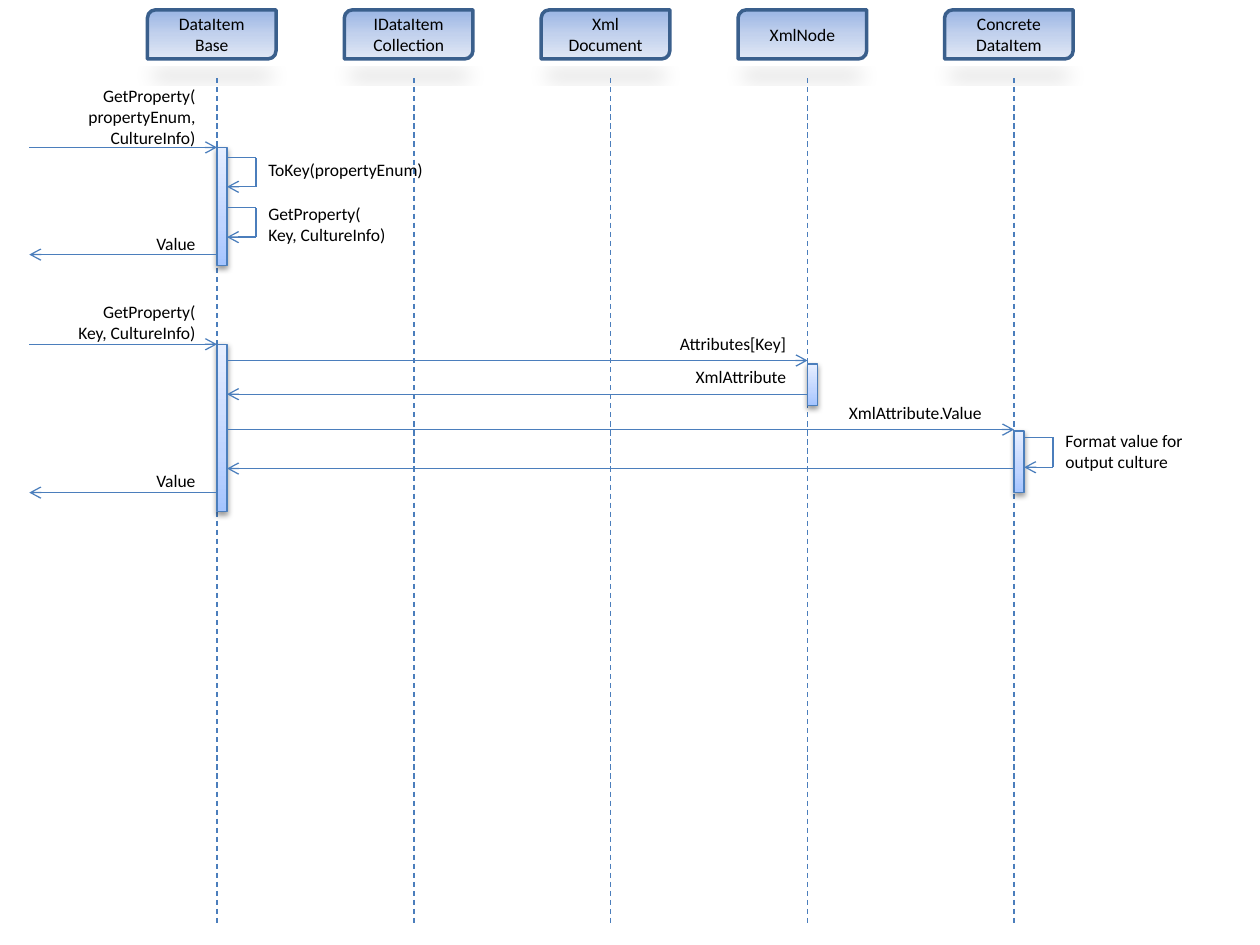
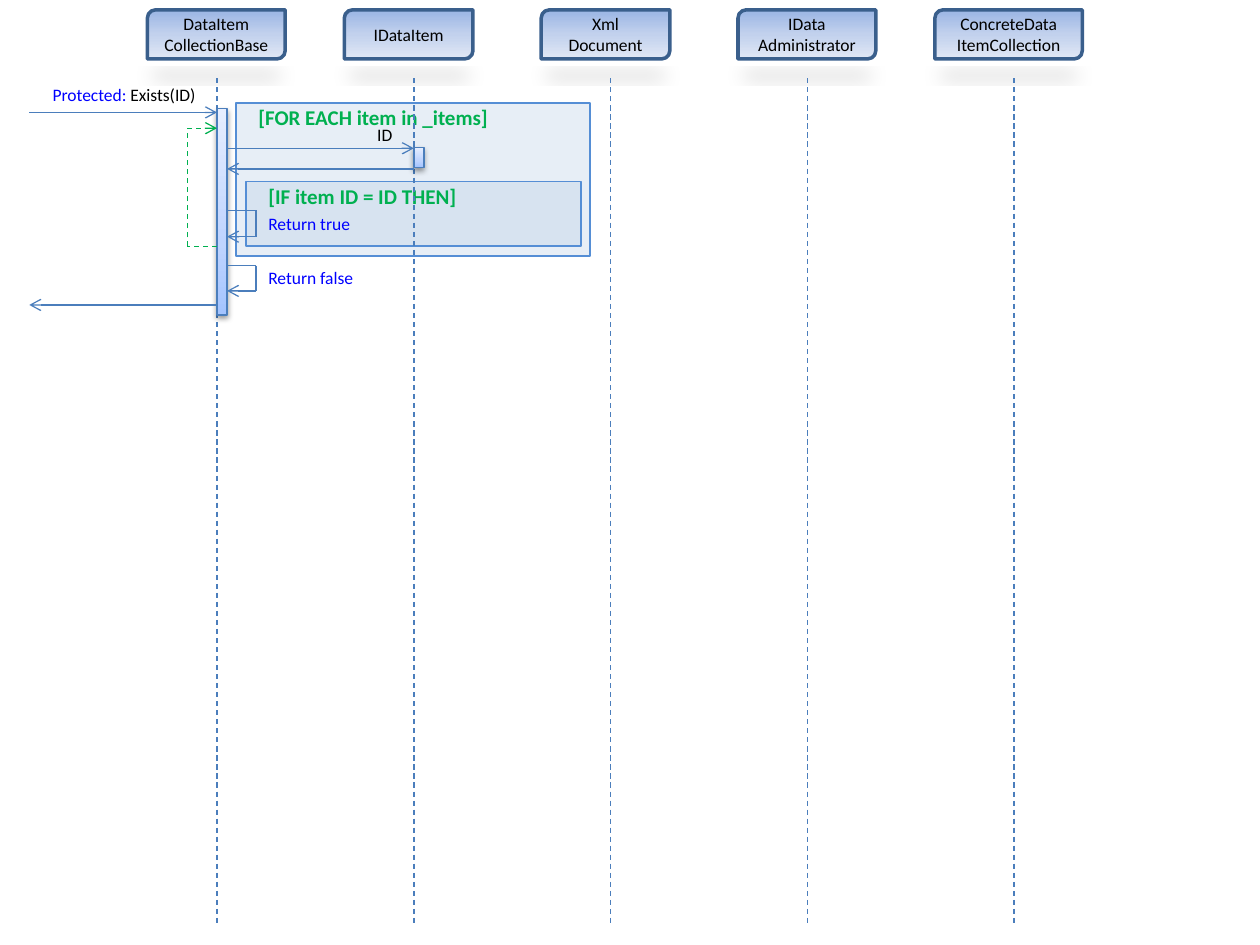
from dataclasses import dataclass
from itertools import pairwise

from lxml.etree import SubElement
from pptx import Presentation
from pptx.dml.color import RGBColor
from pptx.enum.dml import MSO_LINE
from pptx.enum.shapes import MSO_CONNECTOR, MSO_SHAPE
from pptx.enum.text import MSO_ANCHOR, PP_ALIGN
from pptx.oxml.ns import qn
from pptx.util import Pt

# Shared look
FONT = "Calibri"
BLACK, BLUE, GREEN = "000000", "0000FF", "00B050"
LINE, HEADER_LINE = "4B7EBC", "3A5F8C"
FRAME_FILL, FRAME_LINE = "B9CDE5", "558ED5"
HEADER_STOPS = ((0, "9AB5E4"), (50, "C2D1ED"), (100, "E1E8F5"))
BAR_STOPS = ((0, "A4C4FF"), (35, "BFD4FF"), (100, "E6EEFF"))

# Shared geometry, in points
COLS = [124 + 112.5 * i for i in range(4)] + [579.5]
HEADER_TOP, HEADER_H = 5.6, 28.1
LIFE_TOP, LIFE_BOTTOM = 44.75, 528.5
BAR_W = 5.75
OUTSIDE = 16.75
BASE = COLS[0]
BASE_EDGE = BASE + BAR_W
LABEL_W = 113


@dataclass
class Lifeline:
    name: str
    width: float = 73.5
    indent: float = 39.75
    bars: tuple = ()  # (top, height) of each activation


@dataclass
class Message:
    start: float
    end: float
    y: float
    text: str = ""
    label_top: float = 0
    gap: float = 5.25
    prefix: str = ""


@dataclass
class SelfCall:
    x: float
    top: float
    bottom: float
    text: str
    label_top: float
    color: str = BLACK


@dataclass
class Frame:
    left: float
    top: float
    width: float
    height: float
    text: str


def rgb(hex_color: str) -> RGBColor:
    return RGBColor.from_string(hex_color)


def write(tf, text: str, align=PP_ALIGN.LEFT, color: str = BLACK,
          size: float = 10, bold: bool = False, prefix: str = "") -> None:
    tf.word_wrap = True
    for i, line in enumerate(text.split("\n")):
        p = tf.paragraphs[0] if i == 0 else tf.add_paragraph()
        p.alignment = align
        p.font.name, p.font.size, p.font.bold = FONT, Pt(size), bold
        p.font.color.rgb = rgb(color)
        if prefix and i == 0:
            r = p.add_run()
            r.text = prefix
            r.font.color.rgb = rgb(BLUE)
        p.add_run().text = line


def label(s, left: float, top: float, width: float, text: str, **style) -> None:
    height = 7.2 + 12.2 * (text.count("\n") + 1)
    tb = s.shapes.add_textbox(Pt(left), Pt(top), Pt(width), Pt(height))
    write(tb.text_frame, text, **style)


def box(s, kind, left: float, top: float, width: float, height: float,
        line: str, weight: float):
    sp = s.shapes.add_shape(kind, Pt(left), Pt(top), Pt(width), Pt(height))
    sp.line.color.rgb = rgb(line)
    sp.line.width = Pt(weight)
    sp.shadow.inherit = False
    return sp


def gradient(sp, stops: tuple, angle: float) -> None:
    sp.fill.gradient()
    sp.fill.gradient_angle = angle
    gs_lst = sp.element.spPr.find(".//" + qn("a:gsLst"))
    for gs in list(gs_lst):
        gs_lst.remove(gs)
    for pos, color in stops:
        gs = SubElement(gs_lst, qn("a:gs"), pos=str(pos * 1000))
        SubElement(gs, qn("a:srgbClr"), val=color)


def drop_shadow(sp, alpha: int, blur: float, dist: float, **scale: str) -> None:
    effects = sp.element.spPr.find(qn("a:effectLst"))
    shadow = SubElement(effects, qn("a:outerShdw"), blurRad=str(Pt(blur)),
                        dist=str(Pt(dist)), dir="5400000", **scale, rotWithShape="0")
    clr = SubElement(shadow, qn("a:srgbClr"), val=BLACK)
    SubElement(clr, qn("a:alpha"), val=str(alpha * 1000))


def route(s, points: list, color: str = LINE, dashed: bool = False,
          arrow: bool = True) -> None:
    """Join the points with straight lines; the last one may carry an arrowhead."""
    for (x1, y1), (x2, y2) in pairwise(points):
        c = s.shapes.add_connector(MSO_CONNECTOR.STRAIGHT, Pt(x1), Pt(y1), Pt(x2), Pt(y2))
        c.line.color.rgb = rgb(color)
        c.line.width = Pt(0.75)
        if dashed:
            c.line.dash_style = MSO_LINE.DASH
        SubElement(c.element.spPr, qn("a:effectLst"))
    if arrow:
        SubElement(c.element.spPr.find(qn("a:ln")), qn("a:tailEnd"), type="arrow")


def draw_lifeline(s, x: float, life: Lifeline) -> None:
    sp = box(s, MSO_SHAPE.ROUND_2_DIAG_RECTANGLE, x - life.indent, HEADER_TOP,
             life.width, HEADER_H, HEADER_LINE, 2)
    gradient(sp, HEADER_STOPS, 270)
    drop_shadow(sp, 15, 12, 7, sx="90000", sy="-19000")
    tf = sp.text_frame
    tf.margin_left = tf.margin_right = tf.margin_top = tf.margin_bottom = 0
    tf.vertical_anchor = MSO_ANCHOR.MIDDLE
    write(tf, life.name, align=PP_ALIGN.CENTER)
    route(s, [(x, LIFE_TOP), (x, LIFE_BOTTOM)], dashed=True, arrow=False)


def draw_bar(s, x: float, top: float, height: float) -> None:
    sp = box(s, MSO_SHAPE.RECTANGLE, x, top, BAR_W, height, LINE, 0.75)
    gradient(sp, BAR_STOPS, 90)
    drop_shadow(sp, 38, 3.1, 1.6)


def draw_message(s, m: Message) -> None:
    route(s, [(m.start, m.y), (m.end, m.y)])
    if m.text:
        left = max(m.start, m.end) - m.gap - LABEL_W
        label(s, left, m.label_top, LABEL_W, m.text, align=PP_ALIGN.RIGHT, prefix=m.prefix)


def draw_self_call(s, c: SelfCall) -> None:
    edge, turn = c.x + BAR_W, c.x + 22.25
    route(s, [(edge, c.top), (turn, c.top), (turn, c.bottom), (edge, c.bottom)])
    label(s, turn, c.label_top, 106.5, c.text, color=c.color)


def draw_frame(s, f: Frame) -> None:
    sp = box(s, MSO_SHAPE.RECTANGLE, f.left, f.top, f.width, f.height, FRAME_LINE, 1)
    sp.fill.solid()
    sp.fill.fore_color.rgb = rgb(FRAME_FILL)
    clr = sp.element.spPr.find(qn("a:solidFill")).find(qn("a:srgbClr"))
    SubElement(clr, qn("a:alpha"), val="33000")
    label(s, f.left + 5.75, f.top - 2.5, 191.5, f.text, color=GREEN, size=12, bold=True)


def draw_sequence(prs, lifelines: list, messages: list, self_calls: list,
                  frames: tuple = ()):
    s = prs.slides.add_slide(prs.slide_layouts[6])
    for f in frames:
        draw_frame(s, f)
    for x, life in zip(COLS, lifelines):
        draw_lifeline(s, x, life)
    for x, life in zip(COLS, lifelines):
        for top, height in life.bars:
            draw_bar(s, x, top, height)
    for m in messages:
        draw_message(s, m)
    for c in self_calls:
        draw_self_call(s, c)
    return s


def main() -> None:
    prs = Presentation()
    prs.slide_width, prs.slide_height = Pt(720), Pt(540)

    # Slide 1: reading a property
    node, concrete = COLS[3], COLS[4]
    draw_sequence(
        prs,
        [Lifeline("DataItem\nBase", bars=((84.25, 67.5), (196.75, 95.75))),
         Lifeline("IDataItem\nCollection"),
         Lifeline("Xml\nDocument"),
         Lifeline("XmlNode", bars=((208, 23.75),)),
         Lifeline("Concrete\nDataItem", bars=((246.25, 35.25),))],
        [Message(OUTSIDE, BASE, 84.25, "GetProperty(\npropertyEnum,\nCultureInfo)", 44.75),
         Message(BASE, OUTSIDE, 145.5, "Value", 129.5),
         Message(OUTSIDE, BASE, 196.75, "GetProperty(\nKey, CultureInfo)", 168.5),
         Message(BASE_EDGE, node, 206, "Attributes[Key]", 186.5),
         Message(node, BASE_EDGE, 225.25, "XmlAttribute", 205.75),
         Message(BASE_EDGE, concrete, 245.5, "XmlAttribute.Value", 226, gap=11.5),
         Message(concrete, BASE_EDGE, 267.75),
         Message(BASE, OUTSIDE, 281.5, "Value", 265)],
        [SelfCall(BASE, 90, 106.75, "ToKey(propertyEnum)", 87.25),
         SelfCall(BASE, 118.75, 135.5, "GetProperty(\nKey, CultureInfo)", 112.5),
         SelfCall(concrete, 250, 267, "Format value for output culture", 242)])

    # Slide 2: looking up an item by ID
    item = COLS[1]
    s = draw_sequence(
        prs,
        [Lifeline("DataItem\nCollectionBase", 78.75, bars=((62, 118),)),
         Lifeline("IDataItem", bars=((84.25, 11.5),)),
         Lifeline("Xml\nDocument"),
         Lifeline("IData\nAdministrator", 78.75),
         Lifeline("ConcreteData\nItemCollection", 84.25, 45.25)],
        [Message(OUTSIDE, BASE, 64.25, " Exists(ID)", 44.75, prefix="Protected:"),
         Message(BASE_EDGE, item, 84.75, "ID", 67.5),
         Message(item, BASE_EDGE, 96.5),
         Message(BASE, OUTSIDE, 174.25)],
        [SelfCall(BASE, 120.25, 135.25, "Return true", 118, BLUE),
         SelfCall(BASE, 151.75, 166.25, "Return false", 149.25, BLUE)],
        (Frame(134.75, 58.75, 202.5, 87.75, "[FOR EACH item in _items]"),
         Frame(140.5, 103.75, 191.5, 36.75, "[IF item ID = ID THEN]")))

    # Loop back to the next item
    loop_x = 107
    route(s, [(BASE, 140.75), (loop_x, 140.75), (loop_x, 73.25), (BASE, 73.25)],
          GREEN, dashed=True)

    prs.save("out.pptx")


if __name__ == "__main__":
    main()
